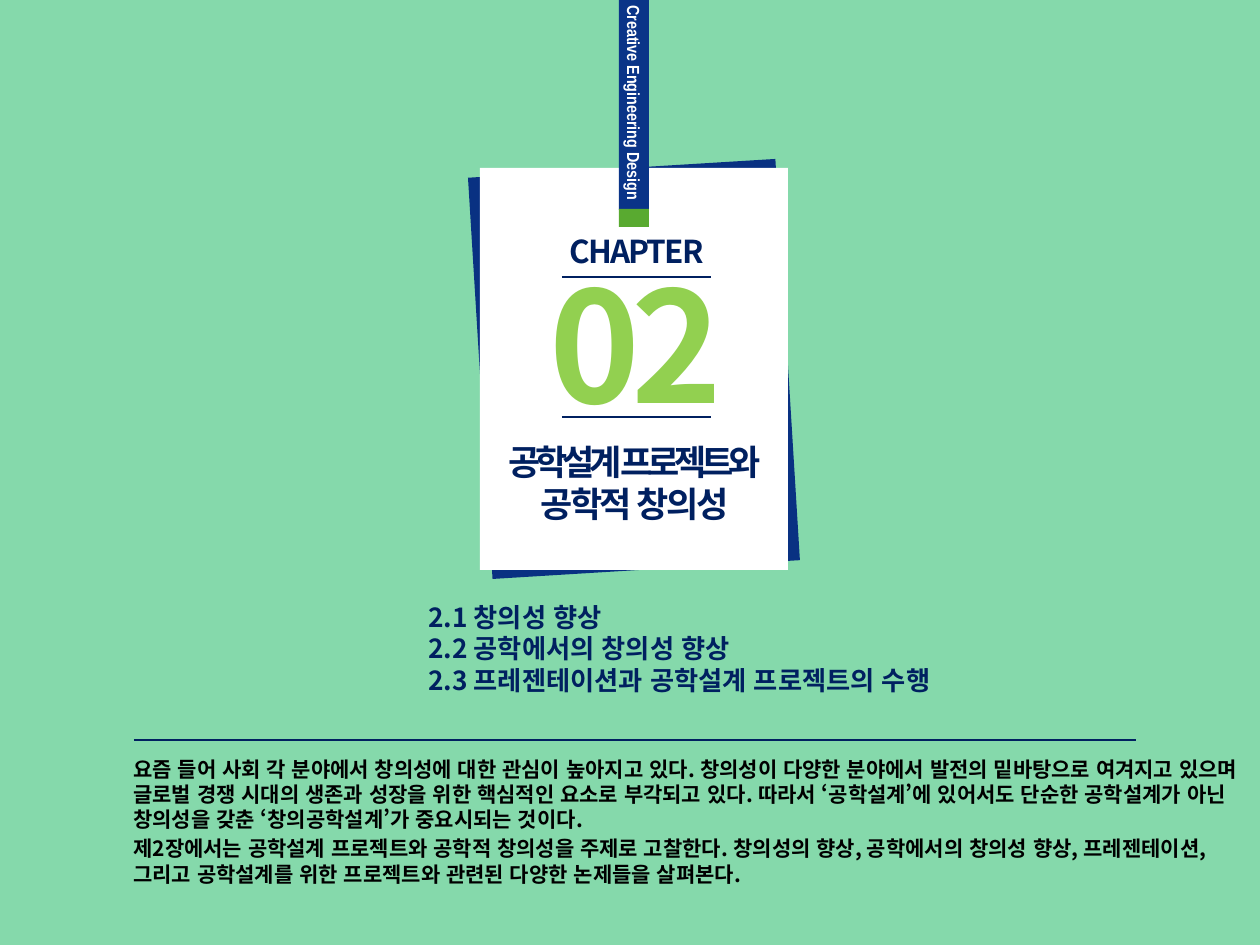
from pptx import Presentation
from pptx.dml.color import RGBColor
from pptx.enum.lang import MSO_LANGUAGE_ID
from pptx.enum.shapes import MSO_CONNECTOR, MSO_SHAPE
from pptx.enum.text import MSO_ANCHOR, PP_ALIGN
from pptx.oxml.ns import qn
from pptx.util import Pt
from lxml import etree

PX = 914400 / 126
RECT = MSO_SHAPE.RECTANGLE
STRAIGHT = MSO_CONNECTOR.STRAIGHT
LEFT, CENTER, RIGHT = PP_ALIGN.LEFT, PP_ALIGN.CENTER, PP_ALIGN.RIGHT
MIDDLE = MSO_ANCHOR.MIDDLE
KO_KR = MSO_LANGUAGE_ID.KOREAN

MINT = RGBColor(0x85, 0xD9, 0xAB)
BLUE = RGBColor(0x09, 0x31, 0x82)
RIBBON = RGBColor(0x0A, 0x34, 0x88)
GREEN = RGBColor(0x59, 0xAA, 0x30)
LIME = RGBColor(0x92, 0xD0, 0x50)
NAVY = RGBColor(0x00, 0x20, 0x60)
WHITE = RGBColor(0xFF, 0xFF, 0xFF)
BLACK = RGBColor(0x00, 0x00, 0x00)
KOREAN = "Noto Sans CJK KR"

SECTIONS = [
    "2.1 창의성 향상",
    "2.2 공학에서의 창의성 향상",
    "2.3 프레젠테이션과 공학설계 프로젝트의 수행",
]
SUMMARY = [
    "요즘 들어 사회 각 분야에서 창의성에 대한 관심이 높아지고 있다. "
    "창의성이 다양한 분야에서 발전의 밑바탕으로 여겨지고 있으며 글로벌 경쟁 시대의 "
    "생존과 성장을 위한 핵심적인 요소로 부각되고 있다. 따라서 ‘공학설계’에 있어서도 "
    "단순한 공학설계가 아닌 창의성을 갖춘 ‘창의공학설계’가 중요시되는 것이다.",
    "제2장에서는 공학설계 프로젝트와 공학적 창의성을 주제로 고찰한다. "
    "창의성의 향상, 공학에서의 창의성 향상, 프레젠테이션, 그리고 공학설계를 위한 "
    "프로젝트와 관련된 다양한 논제들을 살펴본다.",
]


def px(n):
    return round(n * PX)


def add_rect(s, x, y, w, h, color, rotation=0):
    sp = s.shapes.add_shape(RECT, px(x), px(y), px(w), px(h))
    sp.shadow.inherit = False
    sp.fill.solid()
    sp.fill.fore_color.rgb = color
    sp.line.fill.background()
    sp.rotation = rotation
    return sp


def add_rule(s, x1, x2, y, width):
    line = s.shapes.add_connector(STRAIGHT, px(x1), px(y), px(x2), px(y))
    line.line.color.rgb = NAVY
    line.line.width = Pt(width)
    etree.SubElement(line._element.spPr, qn("a:effectLst"))


def write(tf, lines, size, color, font=KOREAN, align=LEFT, tracking=(), before=0):
    """Fill a frame with one bold paragraph per line; tracking is in points."""
    for i, text in enumerate(lines):
        p = tf.add_paragraph() if i else tf.paragraphs[0]
        p.alignment = align
        if i and before:
            p.space_before = Pt(before)
        r = p.add_run()
        r.text = text
        r.font.size = Pt(size)
        r.font.bold = True
        r.font.name = font
        r.font.language_id = KO_KR
        r.font.color.rgb = color
        rPr = r._r.get_or_add_rPr()
        etree.SubElement(rPr, qn("a:ea")).set("typeface", font)
        if tracking:
            rPr.set("spc", str(round(tracking[i] * 100)))


def add_text(s, x, y, w, h, lines, size, color, **fmt):
    tf = s.shapes.add_textbox(px(x), px(y), px(w), px(h)).text_frame
    tf.word_wrap = True
    write(tf, lines, size, color, **fmt)


def add_ribbon(s):
    sp = add_rect(s, 619, 0, 30, 210, RIBBON)
    tf = sp.text_frame
    tf.margin_left = tf.margin_top = tf.margin_right = 0
    tf.margin_bottom = px(10)
    tf.vertical_anchor = MIDDLE
    tf._txBody.bodyPr.set("vert", "vert")
    write(tf, ["Creative Engineering Design"], 10, WHITE,
          font="Arial Narrow", align=RIGHT)
    add_rect(s, 619, 209, 30, 18, GREEN)


def main():
    prs = Presentation()
    prs.slide_width, prs.slide_height = px(1260), px(945)
    s = prs.slides.add_slide(prs.slide_layouts[6])
    s.background.fill.solid()
    s.background.fill.fore_color.rgb = MINT

    # Card with a tilted backing sheet and a hanging ribbon
    add_rect(s, 480, 168, 308, 402, BLUE, rotation=356.5)
    add_rect(s, 480, 168, 308, 402, WHITE)
    add_ribbon(s)

    # Chapter number between two rules
    add_text(s, 514, 243, 244, 199, ["02"], 88, LIME, align=CENTER, tracking=[-5])
    add_text(s, 542, 226, 189, 50, ["CHAPTER"], 18, NAVY, align=CENTER,
             tracking=[-1.1])
    for y in (277, 417):
        add_rule(s, 562, 711, y, 1)

    # Chapter title
    add_text(s, 481, 434, 307, 97, ["공학설계 프로젝트와", "공학적 창의성"], 20, NAVY,
             align=CENTER, tracking=[-3, -1.5])

    # Section list
    add_text(s, 416, 595, 630, 108, SECTIONS, 15, NAVY)

    # Summary under a rule
    add_rule(s, 134, 1136, 740, 0.75)
    add_text(s, 121, 750, 1134, 149, SUMMARY, 12, BLACK, before=2.4)

    prs.save("out.pptx")


if __name__ == "__main__":
    main()
